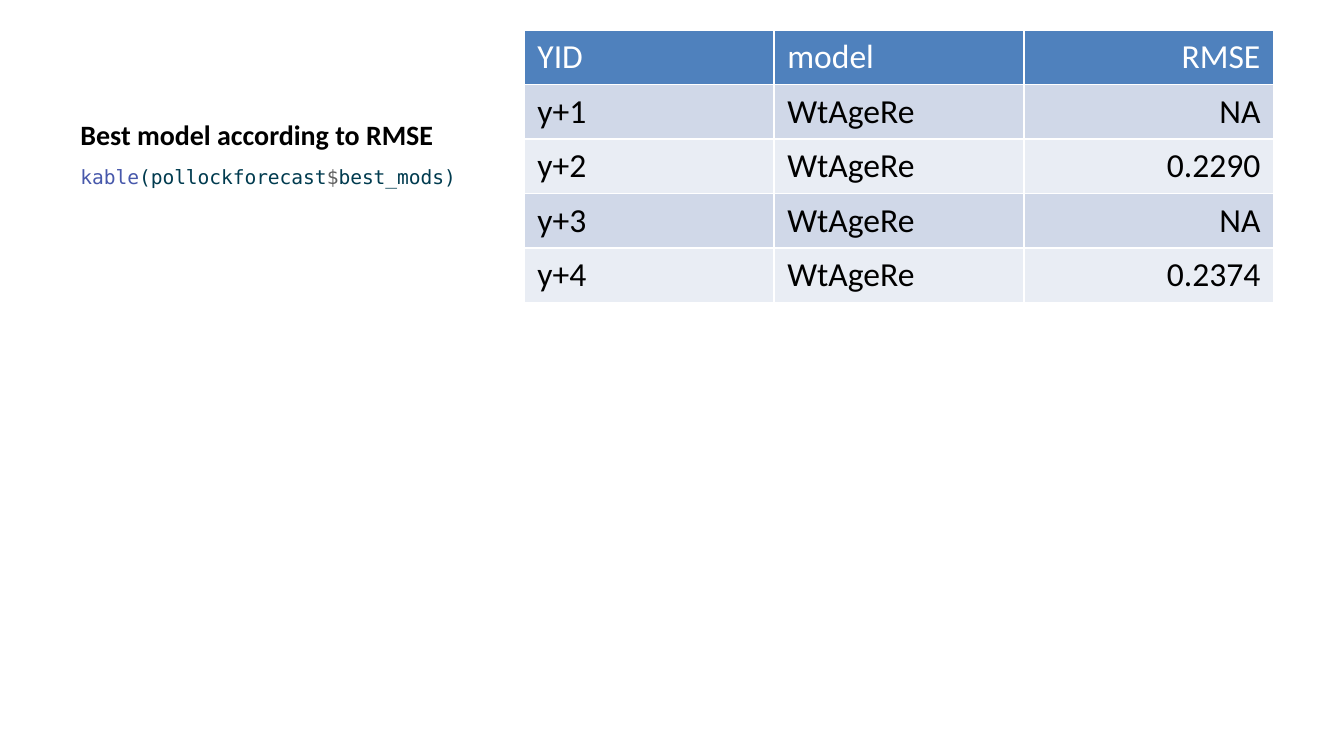
from pptx import Presentation
from pptx.dml.color import RGBColor
from pptx.enum.text import MSO_ANCHOR, PP_ALIGN
from pptx.util import Emu, Pt

BLACK = RGBColor(0x00, 0x00, 0x00)
WHITE = RGBColor(0xFF, 0xFF, 0xFF)
HEAD = RGBColor(0x4F, 0x81, 0xBD)
BANDS = RGBColor(0xD0, 0xD8, 0xE8), RGBColor(0xE9, 0xED, 0xF4)
CALL = RGBColor(0x47, 0x58, 0xAB)
CODE = RGBColor(0x00, 0x3B, 0x4F)
SIGN = RGBColor(0x5E, 0x5E, 0x5E)

SANS, MONO = "Calibri", "DejaVu Sans Mono"
ROW = 54

TOKENS = [("kable", CALL), ("(pollockforecast", CODE),
          ("$", SIGN), ("best_mods)", CODE)]
ROWS = [
    ("YID", "model", "RMSE"),
    ("y+1", "WtAgeRe", "NA"),
    ("y+2", "WtAgeRe", "0.2290"),
    ("y+3", "WtAgeRe", "NA"),
    ("y+4", "WtAgeRe", "0.2374"),
]


def px(n):
    return Emu(round(n * 914400 / 134.4))


def place(shape, x, y, w, h):
    shape.left, shape.top, shape.width, shape.height = map(px, (x, y, w, h))


def style(run, size, color, face=SANS, bold=False):
    font = run.font
    font.size, font.name, font.bold = Pt(size), face, bold
    font.color.rgb = color


def add_title(shape, box):
    place(shape, *box)
    frame = shape.text_frame
    frame.text = "Best model according to RMSE"
    frame.vertical_anchor = MSO_ANCHOR.BOTTOM
    para = frame.paragraphs[0]
    para.alignment = PP_ALIGN.LEFT
    style(para.runs[0], 15, BLACK, bold=True)


def add_code(shape, box):
    place(shape, *box)
    para = shape.text_frame.paragraphs[0]
    for text, color in TOKENS:
        run = para.add_run()
        run.text = text
        style(run, 10.5, color, MONO)


def add_scores(slide, x, y, w):
    size = len(ROWS), len(ROWS[0])
    table = slide.shapes.add_table(*size, px(x), px(y), px(w),
                                   px(ROW * len(ROWS))).table
    for r, row in enumerate(ROWS):
        for c, text in enumerate(row):
            cell = table.cell(r, c)
            cell.fill.solid()
            cell.fill.fore_color.rgb = BANDS[(r - 1) % 2] if r else HEAD
            cell.text_frame.text = text
            para = cell.text_frame.paragraphs[0]
            para.alignment = PP_ALIGN.RIGHT if c == 2 else PP_ALIGN.LEFT
            style(para.runs[0], 18, BLACK if r else WHITE)


def main():
    deck = Presentation()
    deck.slide_width, deck.slide_height = px(1344), px(756)
    slide = deck.slides.add_slide(deck.slide_layouts[7])
    title, spare, body = slide.placeholders
    spare.element.getparent().remove(spare.element)
    add_title(title, (67, 30, 442, 128))
    add_code(body, (67, 158, 442, 517))
    add_scores(slide, 524, 30, 750)
    deck.save("out.pptx")


if __name__ == "__main__":
    main()
